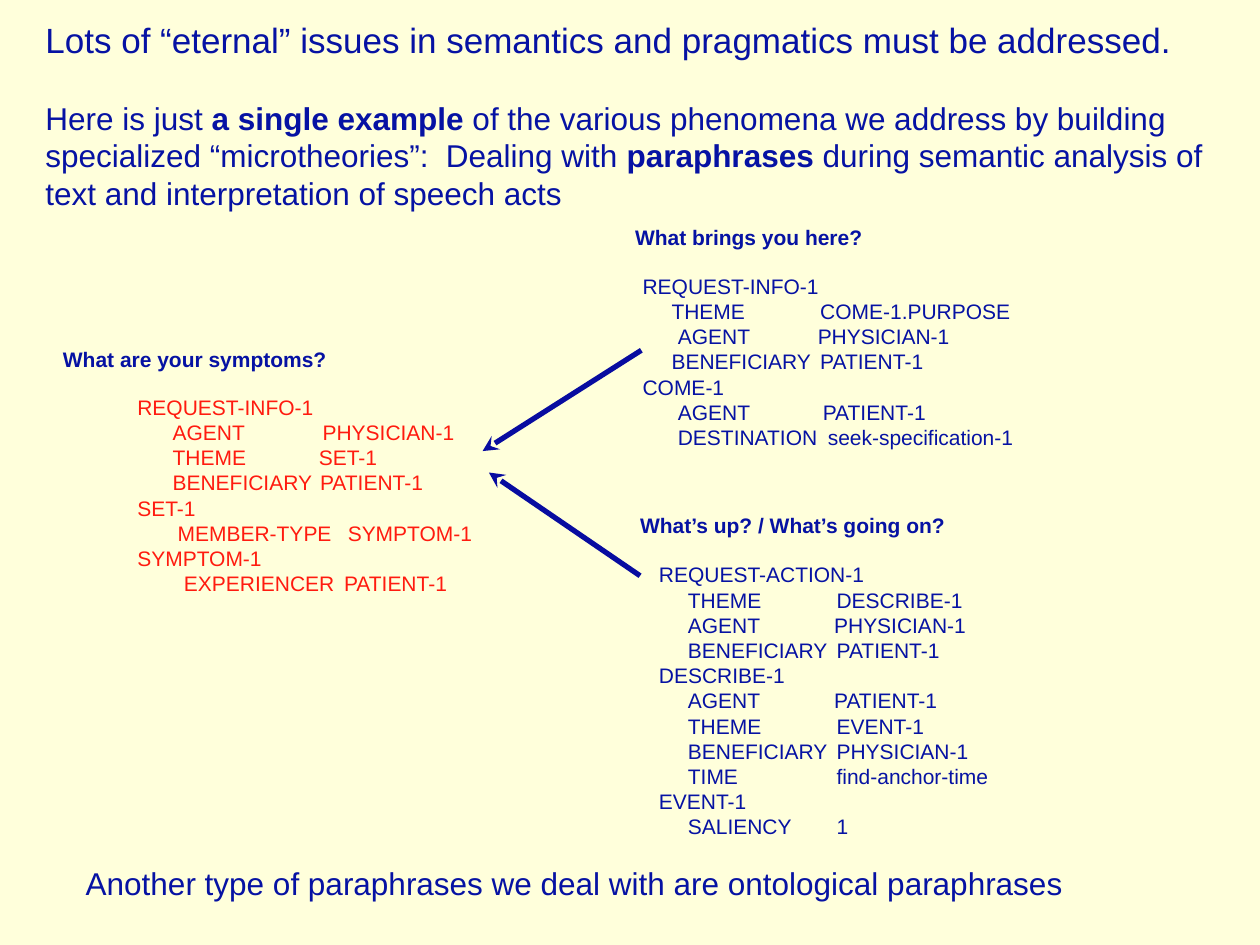
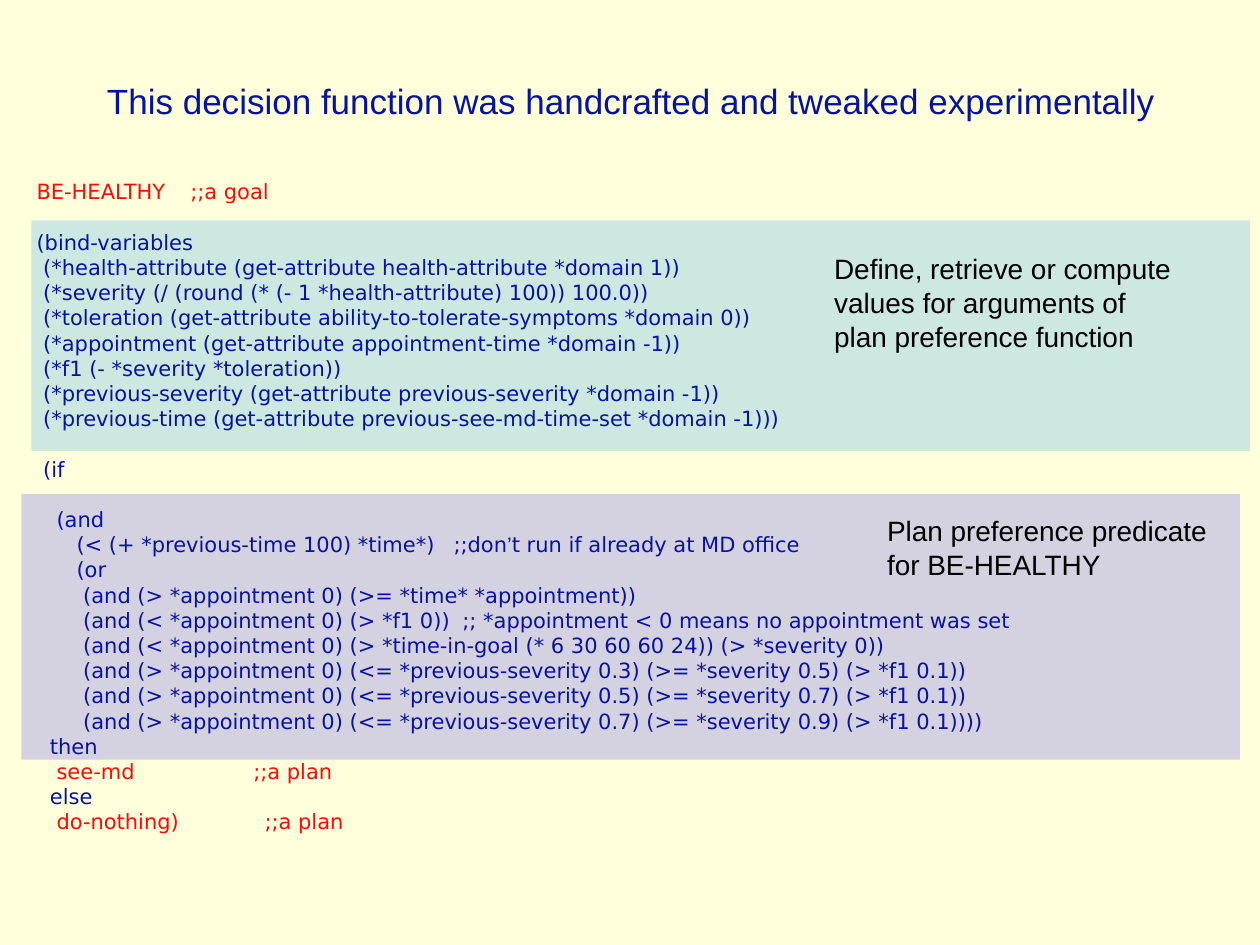
from dataclasses import dataclass
from typing import NamedTuple

from lxml.etree import SubElement
from pptx import Presentation
from pptx.dml.color import RGBColor
from pptx.enum.shapes import MSO_CONNECTOR, MSO_SHAPE
from pptx.oxml.ns import qn
from pptx.util import Inches, Pt

# Shared look
CREAM, NAVY, ARROW_NAVY, BLACK = "FFFFDB", "0612A3", "080CA0", "000000"
FRAME_RED, CODE_RED = "FF1B0F", "FF0906"
TEAL, LAVENDER = "BBE0E3", "C5C1E3"
SANS, CODE_FONT = "Arial", "DejaVu Sans"
LINE_HEIGHT = 1.2
BAND_OPACITY = 74

# The slide is a grid of 100 columns by 75 rows
COLUMNS, ROWS = 100, 75
CELL = Inches(0.1)


class Box(NamedTuple):
    left: float
    top: float
    width: float
    height: float


class Insets(NamedTuple):
    left: float = 0.4
    top: float = 0
    right: float = 0.4
    bottom: float = 0


@dataclass(frozen=True)
class Run:
    text: str
    bold: bool = False
    color: str | None = None
    font: str | None = None


@dataclass(frozen=True)
class Line:
    runs: tuple[Run, ...]
    size: int = 12
    tabs: tuple[float, ...] = ()
    lines_before: int = 0


@dataclass(frozen=True)
class Slot:
    """A property of a concept: its name, value and their columns."""
    name: str
    value: str
    value_column: float = 14.1
    name_column: float = 2.3


@dataclass(frozen=True)
class Reading:
    """A question and the meaning frame it is analysed into."""
    question: str
    question_box: Box
    frame_box: Box
    frame_color: str
    frame: tuple[str | Slot, ...]


@dataclass(frozen=True)
class Band:
    box: Box
    color: str
    label_box: Box
    label: tuple[str, ...]


def grid(cells: float) -> int:
    return round(cells * CELL)


def rgb(color: str) -> RGBColor:
    return RGBColor.from_string(color)


def plain(text: str, size: int = 12, bold: bool = False) -> Line:
    return Line((Run(text, bold),), size)


def add_text(slide, box: Box, lines: list[Line], color: str = NAVY,
             font: str = SANS, insets: Insets = Insets()) -> None:
    frame = slide.shapes.add_textbox(*map(grid, box)).text_frame
    frame.word_wrap = True
    frame.margin_left, frame.margin_top, frame.margin_right, frame.margin_bottom = map(grid, insets)
    for index, line in enumerate(lines):
        paragraph = frame.add_paragraph() if index else frame.paragraphs[0]
        if line.tabs:
            tab_list = SubElement(paragraph._p.get_or_add_pPr(), qn("a:tabLst"))
            for column in line.tabs:
                SubElement(tab_list, qn("a:tab"), pos=str(grid(column)), algn="l")
        paragraph.line_spacing = Pt(line.size * LINE_HEIGHT)
        paragraph.space_before = Pt(line.lines_before * line.size * LINE_HEIGHT)
        for part in line.runs:
            run = paragraph.add_run()
            run.text = part.text
            run.font.name = part.font or font
            run.font.size = Pt(line.size)
            run.font.bold = part.bold
            run.font.color.rgb = rgb(part.color or color)


def add_reading(slide, reading: Reading) -> None:
    add_text(slide, reading.question_box, [plain(reading.question, bold=True)])
    lines = [
        Line((Run(f"\t{row.name}\t{row.value}"),), tabs=(row.name_column, row.value_column))
        if isinstance(row, Slot) else plain(row)
        for row in reading.frame
    ]
    add_text(slide, reading.frame_box, lines, reading.frame_color)


def add_arrow(slide, start: tuple[float, float], tip: tuple[float, float]) -> None:
    arrow = slide.shapes.add_connector(MSO_CONNECTOR.STRAIGHT, *map(grid, start + tip))
    arrow.line.color.rgb = rgb(ARROW_NAVY)
    arrow.line.width = Pt(3)
    SubElement(arrow.line._get_or_add_ln(), qn("a:tailEnd"), type="stealth")
    SubElement(arrow._element.spPr, qn("a:effectLst"))


def add_band(slide, band: Band) -> None:
    shape = slide.shapes.add_shape(MSO_SHAPE.RECTANGLE, *map(grid, band.box))
    shape.shadow.inherit = False
    shape.line.fill.background()
    shape.fill.solid()
    shape.fill.fore_color.rgb = rgb(band.color)
    color = shape._element.spPr.find(qn("a:solidFill"))[0]
    SubElement(color, qn("a:alpha"), val=str(BAND_OPACITY * 1000))


def add_slide(presentation):
    slide = presentation.slides.add_slide(presentation.slide_layouts[6])
    slide.background.fill.solid()
    slide.background.fill.fore_color.rgb = rgb(CREAM)
    return slide


# Slide 1 content: paraphrases
INTRODUCTION = [
    plain("Lots of “eternal” issues in semantics and pragmatics must be addressed.", 20),
    Line((
        Run("Here is just "),
        Run("a single example", bold=True),
        Run(" of the various phenomena we address by building specialized"
            " “microtheories”:  Dealing with"),
        Run(" paraphrases ", bold=True),
        Run("during semantic analysis of text and interpretation of speech acts"),
    ), size=18, lines_before=1),
]

READINGS = (
    Reading(
        "What are your symptoms?", Box(4.6, 27.5, 22.6, 3.1),
        Box(10.5, 31.3, 31.5, 16.6), FRAME_RED, (
            "REQUEST-INFO-1",
            Slot("AGENT", "PHYSICIAN-1", 14.7, 2.8),
            Slot("THEME", "SET-1", 14.4, 2.8),
            Slot("BENEFICIARY", "PATIENT-1", 14.5, 2.8),
            "SET-1",
            Slot("MEMBER-TYPE", "SYMPTOM-1", 16.7, 3.2),
            "SYMPTOM-1",
            Slot("EXPERIENCER", "PATIENT-1", 16.4, 3.7),
        )),
    Reading(
        "What brings you here?", Box(50, 17.8, 26.7, 3.1),
        Box(50.6, 21.7, 31.2, 14.7), NAVY, (
            "REQUEST-INFO-1",
            Slot("THEME", "COME-1.PURPOSE"),
            Slot("AGENT", "PHYSICIAN-1", 13.9, 2.8),
            Slot("BENEFICIARY", "PATIENT-1"),
            "COME-1",
            Slot("AGENT", "PATIENT-1", 14.3, 2.8),
            Slot("DESTINATION", "seek-specification-1", 14.7, 2.8),
        )),
    Reading(
        "What’s up? / What’s going on?", Box(50.4, 40.7, 28.3, 3.1),
        Box(51.9, 44.6, 28.3, 22.5), NAVY, (
            "REQUEST-ACTION-1",
            Slot("THEME", "DESCRIBE-1"),
            Slot("AGENT", "PHYSICIAN-1", 13.9),
            Slot("BENEFICIARY", "PATIENT-1"),
            "DESCRIBE-1",
            Slot("AGENT", "PATIENT-1", 13.9),
            Slot("THEME", "EVENT-1"),
            Slot("BENEFICIARY", "PHYSICIAN-1"),
            Slot("TIME", "find-anchor-time"),
            "EVENT-1",
            Slot("SALIENCY", "1"),
        )),
)

# Slide 2 content: decision function
BANDS = (
    Band(Box(2.5, 17.5, 96.7, 18.3), TEAL, Box(65.8, 20, 28.5, 8.5),
         ("Define, retrieve or compute", "values for arguments of", "plan preference function")),
    Band(Box(1.7, 39.2, 96.7, 21.1), LAVENDER, Box(70, 40.8, 27.2, 6),
         ("Plan preference predicate", "for BE-HEALTHY")),
)


def code(text: str) -> list[Line]:
    return [plain(line) for line in text.strip("\n").split("\n")]


BINDINGS = """
 (*health-attribute (get-attribute health-attribute *domain 1))
 (*severity (/ (round (* (- 1 *health-attribute) 100)) 100.0))
 (*toleration (get-attribute ability-to-tolerate-symptoms *domain 0))
 (*appointment (get-attribute appointment-time *domain -1))
 (*f1 (- *severity *toleration))
 (*previous-severity (get-attribute previous-severity *domain -1))
 (*previous-time (get-attribute previous-see-md-time-set *domain -1)))
"""

CONDITIONS = """
       (and (< *appointment 0) (> *time-in-goal (* 6 30 60 60 24)) (> *severity 0))
       (and (> *appointment 0) (<= *previous-severity 0.3) (>= *severity 0.5) (> *f1 0.1))
       (and (> *appointment 0) (<= *previous-severity 0.5) (>= *severity 0.7) (> *f1 0.1))
       (and (> *appointment 0) (<= *previous-severity 0.7) (>= *severity 0.9) (> *f1 0.1))))
  then
"""

DECISION_FUNCTION = [
    Line((Run("BE-HEALTHY\t;;a goal", color=CODE_RED),), tabs=(12.2,)),
    Line((Run("(bind-variables"),), lines_before=1),
    *code(BINDINGS),
    Line((Run(" (if"),), lines_before=1),
    Line((Run("   (and"),), lines_before=1),
    Line((
        Run("      (< (+ *previous-time 100) *time*)\t;;don"),
        Run("’", font=SANS),
        Run("t run if already at MD office"),
    ), tabs=(33.1,)),
    plain("      (or"),
    plain("       (and (> *appointment 0) (>= *time* *appointment))"),
    Line((Run("       (and (< *appointment 0) (> *f1 0))"
              "\t;; *appointment < 0 means no appointment was set"),), tabs=(33.8,)),
    *code(CONDITIONS),
    Line((Run("   see-md\t;;a plan", color=CODE_RED),), tabs=(17.2,)),
    plain("  else"),
    Line((Run("   do-nothing)\t;;a plan", color=CODE_RED),), tabs=(18.1,)),
]


def build_paraphrases(presentation) -> None:
    slide = add_slide(presentation)
    add_text(slide, Box(3.2, 1.5, 93.5, 15.6), INTRODUCTION)
    for reading in READINGS:
        add_reading(slide, reading)
    add_arrow(slide, (50.9, 27.8), (38.3, 35.8))
    add_arrow(slide, (50.8, 45.7), (38.8, 37.5))
    add_text(slide, Box(6.4, 68.6, 79.2, 3.9),
             [plain("Another type of paraphrases we deal with are ontological paraphrases", 18)])


def build_decision_function(presentation) -> None:
    slide = add_slide(presentation)
    for band in BANDS:
        add_band(slide, band)
    add_text(slide, Box(2.5, 14.2, 81.9, 55.3), DECISION_FUNCTION, font=CODE_FONT)
    for band in BANDS:
        add_text(slide, band.label_box, [plain(line, 16) for line in band.label], BLACK)
    add_text(slide, Box(7.5, 5.8, 85.9, 4.4),
             [plain("This decision function was handcrafted and tweaked experimentally", 20)],
             insets=Insets(1, 0.5, 1, 0.5))


def main() -> None:
    presentation = Presentation()
    presentation.slide_width, presentation.slide_height = grid(COLUMNS), grid(ROWS)
    build_paraphrases(presentation)
    build_decision_function(presentation)
    presentation.save("out.pptx")


if __name__ == "__main__":
    main()
